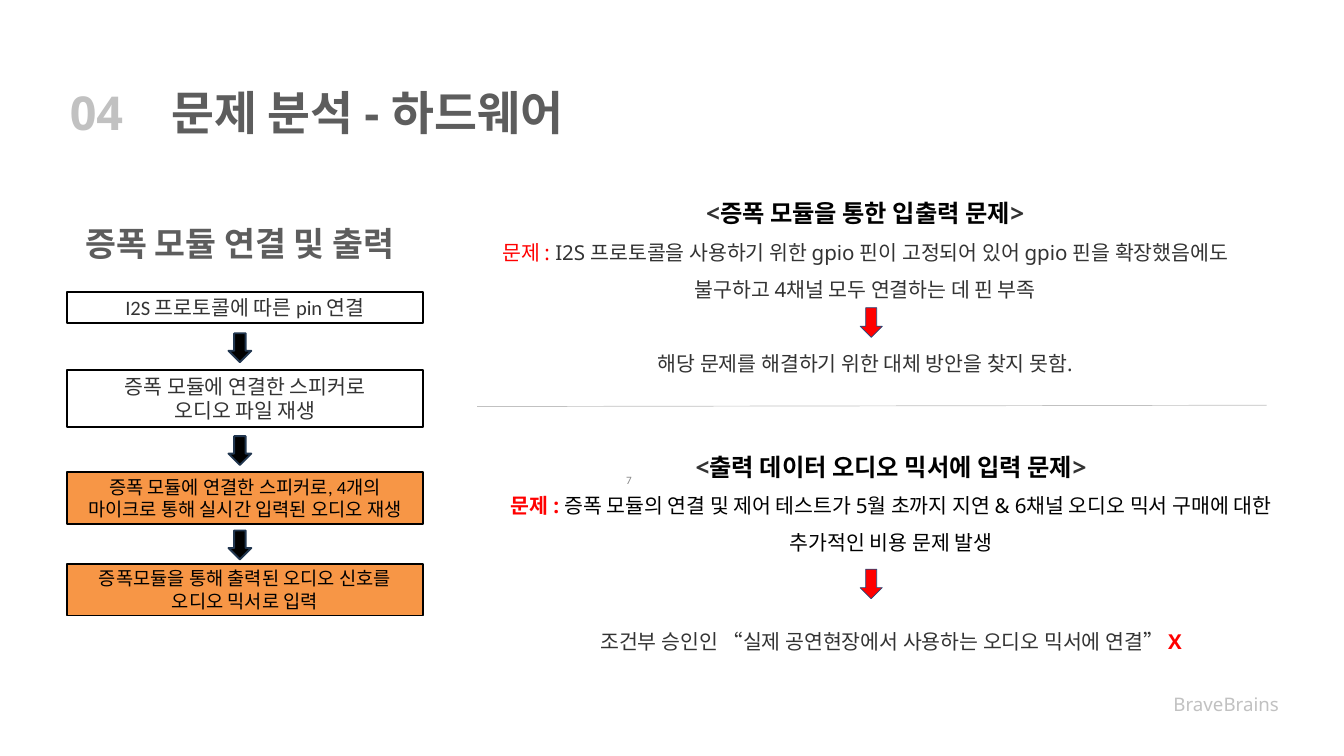
from dataclasses import dataclass

from lxml.etree import SubElement
from pptx import Presentation
from pptx.dml.color import RGBColor
from pptx.enum.shapes import MSO_CONNECTOR, MSO_SHAPE
from pptx.enum.text import MSO_ANCHOR, MSO_AUTO_SIZE, PP_ALIGN
from pptx.oxml.ns import qn
from pptx.shapes.autoshape import Shape
from pptx.slide import Slide
from pptx.util import Inches, Pt

COLORS = {
    "white": "FFFFFF",
    "black": "000000",
    "ink": "333333",
    "heading": "5D5D5D",
    "pale": "C1C1C1",
    "number": "888888",
    "red": "FF0000",
    "orange": "F79646",
    "step_arrow_edge": "21364F",
    "result_arrow_edge": "1F497D",
}
SANS = "Noto Sans"
CALIBRI = "Calibri"


@dataclass(frozen=True)
class Span:
    text: str
    size: float
    color: str
    font: str = SANS
    bold: bool = False


@dataclass(frozen=True)
class Line:
    spans: list[Span]
    align: PP_ALIGN = PP_ALIGN.CENTER
    spacing: float = 1.0
    before: float = 0


@dataclass(frozen=True)
class Area:
    left: float
    top: float
    width: float
    height: float

    def lengths(self) -> list[int]:
        return [Inches(value) for value in (self.left, self.top, self.width, self.height)]


@dataclass(frozen=True)
class Step:
    top: float
    height: float
    lines: list[str]
    size: float
    fill: str
    color: str


@dataclass(frozen=True)
class Problem:
    area: Area
    heading: str
    label_bold: bool
    detail: Span
    result: list[Span]
    gap: float
    bottom_inset: float
    arrow_top: float


STEPS = [
    Step(4.34, 0.47, ["I2S 프로토콜에 따른 pin 연결"], 22, "white", "ink"),
    Step(5.51, 0.84, ["증폭 모듈에 연결한 스피커로", "오디오 파일 재생"], 22, "white", "ink"),
    Step(7.03, 0.77, ["증폭 모듈에 연결한 스피커로, 4개의 마이크로 통해 실시간 입력된 오디오 재생"],
         20, "orange", "black"),
    Step(8.39, 0.77, ["증폭모듈을 통해 출력된 오디오 신호를 오디오 믹서로 입력"], 20, "orange", "black"),
]

PROBLEMS = [
    Problem(
        Area(7.08, 2.64, 11.59, 3.05),
        "증폭 모듈을 통한 입출력 문제",
        False,
        Span("I2S 프로토콜을 사용하기 위한 gpio 핀이 고정되어 있어 gpio 핀을 확장했음에도 "
             "불구하고 4채널 모두 연결하는 데 핀 부족", 22, "ink"),
        [Span("해당 문제를 해결하기 위한 대체 방안을 찾지 못함.", 22, "ink")],
        40, 0.1, 4.58,
    ),
    Problem(
        Area(7.5, 6.72, 11.52, 3.34),
        "출력 데이터 오디오 믹서에 입력 문제",
        True,
        Span("증폭 모듈의 연결 및 제어 테스트가 5월 초까지 지연 & 6채널 오디오 믹서 구매에 "
             "대한 추가적인 비용 문제 발생", 22, "black"),
        [Span("조건부 승인인 “실제 공연현장에서 사용하는 오디오 믹서에 연결” ", 22, "ink"),
         Span("X", 22, "red", bold=True)],
        66, 0.65, 8.47,
    ),
]


def rgb(name: str) -> RGBColor:
    return RGBColor.from_string(COLORS[name])


def write(box: Shape, lines: list[Line], vertical_inset: float = 0.05) -> None:
    frame = box.text_frame
    frame.word_wrap = True
    frame.auto_size = MSO_AUTO_SIZE.NONE
    frame.vertical_anchor = MSO_ANCHOR.MIDDLE
    frame.margin_left = frame.margin_right = Inches(0.1)
    frame.margin_top = frame.margin_bottom = Inches(vertical_inset)
    for index, line in enumerate(lines):
        para = frame.add_paragraph() if index else frame.paragraphs[0]
        para.alignment = line.align
        para.line_spacing = line.spacing
        para.space_before = Pt(line.before)
        for span in line.spans:
            run = para.add_run()
            run.text = span.text
            run.font.size = Pt(span.size)
            run.font.name = span.font
            run.font.bold = span.bold
            run.font.color.rgb = rgb(span.color)


def add_label(page: Slide, area: Area, span: Span, align: PP_ALIGN) -> None:
    write(page.shapes.add_textbox(*area.lengths()), [Line([span], align)])


def add_block(page: Slide, kind: MSO_SHAPE, area: Area, fill: str, edge: str, weight: float) -> Shape:
    block = page.shapes.add_shape(kind, *area.lengths())
    block.shadow.inherit = False
    block.fill.solid()
    block.fill.fore_color.rgb = rgb(fill)
    block.line.color.rgb = rgb(edge)
    block.line.width = Pt(weight)
    return block


def add_step(page: Slide, step: Step) -> None:
    area = Area(1, step.top, 5.29, step.height)
    box = add_block(page, MSO_SHAPE.RECTANGLE, area, step.fill, "black", 2)
    write(box, [Line([Span(text, step.size, step.color, CALIBRI)]) for text in step.lines])


def add_step_arrow(page: Slide, upper: Step, lower: Step) -> None:
    middle = (upper.top + upper.height + lower.top) / 2
    area = Area(3.4, middle - 0.2, 0.34, 0.43)
    add_block(page, MSO_SHAPE.DOWN_ARROW, area, "black", "step_arrow_edge", 2)


def add_problem(page: Slide, problem: Problem) -> None:
    box = page.shapes.add_textbox(*problem.area.lengths())
    heading = [
        Span("<", 26, "ink", bold=True),
        Span(problem.heading, 26, "black", CALIBRI, True),
        Span(">", 26, "ink", bold=True),
    ]
    label = Span("문제 : ", 22, "red", bold=problem.label_bold)
    write(box, [
        Line(heading, spacing=1.5),
        Line([label, problem.detail], spacing=1.5),
        Line(problem.result, spacing=1.5, before=problem.gap),
    ], 0.1)
    box.text_frame.margin_bottom = Inches(problem.bottom_inset)
    arrow = Area(12.8, problem.arrow_top, 0.33, 0.44)
    add_block(page, MSO_SHAPE.DOWN_ARROW, arrow, "red", "result_arrow_edge", 0.75)


def add_divider(page: Slide) -> None:
    divider = page.shapes.add_connector(
        MSO_CONNECTOR.STRAIGHT, Inches(7.1), Inches(6.05), Inches(18.85), Inches(6.03))
    divider.line.color.rgb = rgb("pale")
    divider.line.width = Pt(0.75)
    SubElement(divider._element.spPr, qn("a:effectLst"))


def main() -> None:
    deck = Presentation()
    deck.slide_width = Inches(20)
    deck.slide_height = Inches(11.25)
    page = deck.slides.add_slide(deck.slide_layouts[5])

    title = page.shapes.title
    title.left, title.top, title.width, title.height = Area(2.45, 1.19, 11.94, 0.94).lengths()
    write(title, [Line([Span("문제 분석 - 하드웨어", 50, "heading", bold=True)], PP_ALIGN.LEFT)])

    add_label(page, Area(0.94, 1.19, 1.2, 0.94), Span("04", 50, "pale", bold=True), PP_ALIGN.LEFT)
    add_label(page, Area(0.86, 3.26, 5.42, 0.71),
              Span("증폭 모듈 연결 및 출력", 36, "heading", bold=True), PP_ALIGN.CENTER)
    add_label(page, Area(10.6, 10.25, 8.53, 0.44), Span("BraveBrains", 20, "pale"), PP_ALIGN.RIGHT)
    add_label(page, Area(7.17, 6.95, 2.33, 0.4), Span("7", 12, "number", CALIBRI), PP_ALIGN.RIGHT)

    for step in STEPS:
        add_step(page, step)
    for upper, lower in zip(STEPS, STEPS[1:]):
        add_step_arrow(page, upper, lower)

    add_divider(page)
    for problem in PROBLEMS:
        add_problem(page, problem)

    deck.save("out.pptx")


if __name__ == "__main__":
    main()
